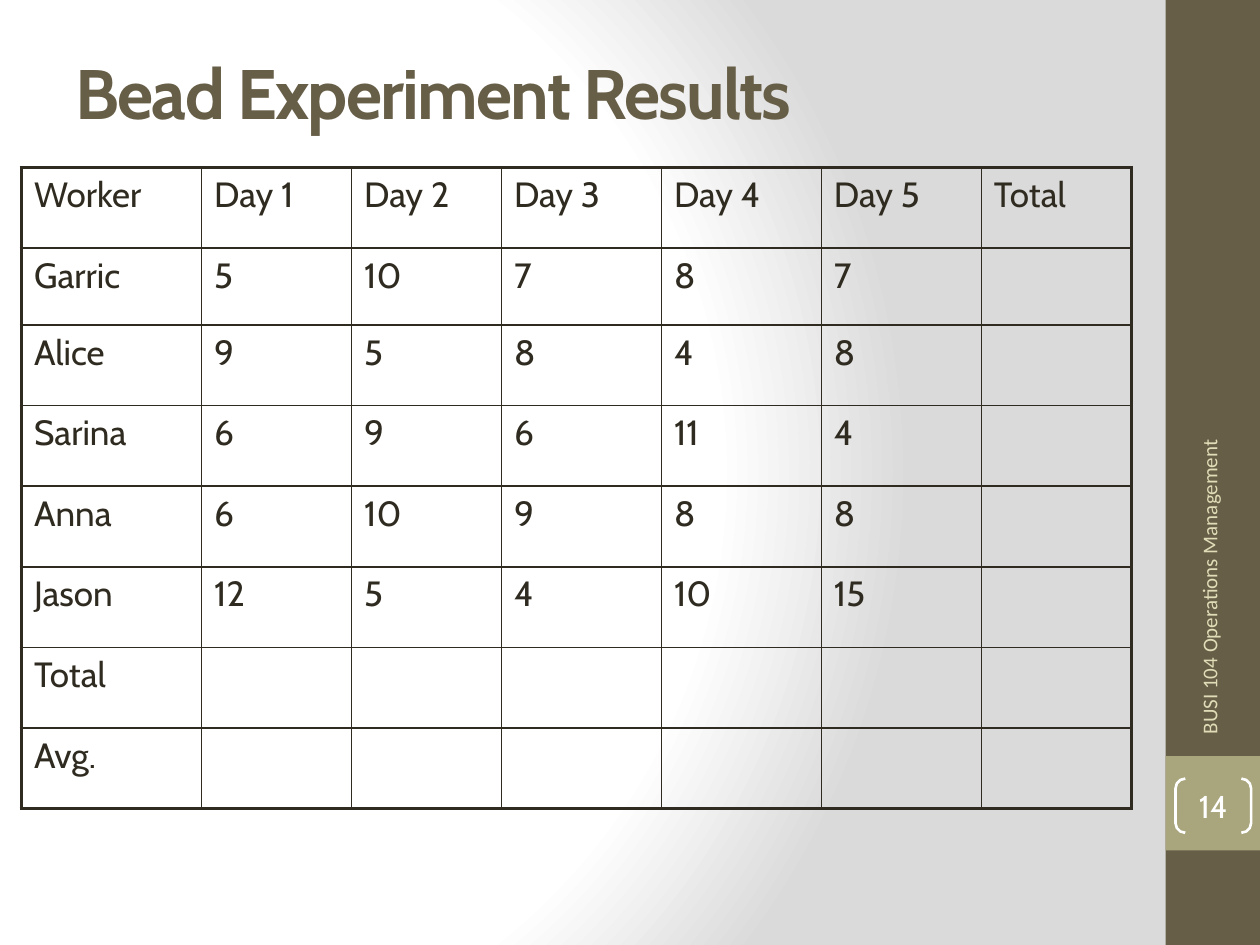
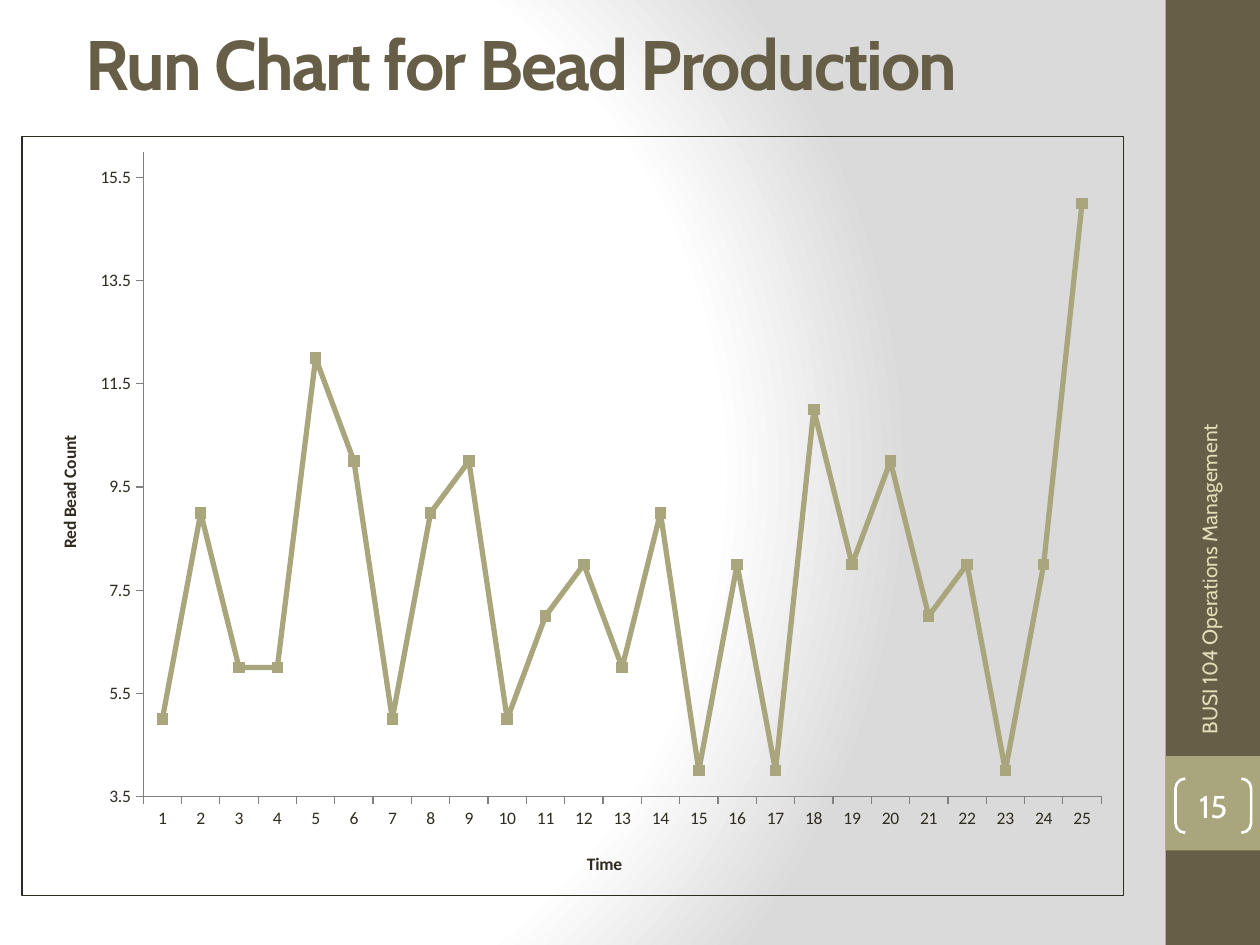
from lxml import etree
from pptx import Presentation
from pptx import util as u
from pptx.chart.data import CategoryChartData
from pptx.dml.color import RGBColor
from pptx.enum import chart as ch, shapes, text
from pptx.oxml import parse_xml
from pptx.oxml.ns import nsdecls, qn

INK, OLIVE, SAGE, CREAM, WHITE = "2F2B20", "675E47", "A9A57C", "DFDCB7", "FFFFFF"
AXIS_GREY = "808080"
HEAD_FONT, PLAIN_FONT = "Cabin", "Calibri"
COURSE = "BUSI 104 Operations Management"

BEADS = {
    "Garric": [5, 10, 7, 8, 7],
    "Alice": [9, 5, 8, 4, 8],
    "Sarina": [6, 9, 6, 11, 4],
    "Anna": [6, 10, 9, 8, 8],
    "Jason": [12, 5, 4, 10, 15],
}
COLUMN_WIDTHS = [1.43, 1.19, 1.19, 1.27, 1.27, 1.27, 1.19]
ROW_HEIGHTS = [0.64, 0.61] + [0.64] * 6


def rgb(colour):
    return RGBColor.from_string(colour)


def inches(*lengths):
    return [u.Inches(length) for length in lengths]


def write(frame, words, size=20, font=HEAD_FONT, colour=INK, bold=False,
          align=text.PP_ALIGN.LEFT, anchor=text.MSO_ANCHOR.MIDDLE, spacing=None):
    """Put one formatted paragraph in a text frame."""
    frame.word_wrap = True
    frame.vertical_anchor = anchor
    paragraph = frame.paragraphs[0]
    paragraph.alignment = align
    run = paragraph.add_run()
    run.text = words
    run.font.size, run.font.name, run.font.bold = u.Pt(size), font, bold
    run.font.color.rgb = rgb(colour)
    if spacing is not None:
        run.font._element.set("spc", str(spacing * 100))


def paint_background(slide):
    slide.background.fill.solid()
    stops = "".join(f'<a:gs pos="{pos}000"><a:srgbClr val="{colour}"/></a:gs>'
                    for pos, colour in [(0, WHITE), (75, WHITE), (100, "DADADA")])
    glow = parse_xml(
        f'<a:gradFill {nsdecls("a")} rotWithShape="1"><a:gsLst>{stops}</a:gsLst>'
        '<a:path path="circle"><a:fillToRect l="20000" t="50000" r="100000" b="50000"/>'
        '</a:path></a:gradFill>')
    properties = slide.element.find(".//" + qn("p:bgPr"))
    properties.replace(properties[0], glow)


def add_band(slide, top, height, colour):
    band = slide.shapes.add_shape(shapes.MSO_SHAPE.RECTANGLE,
                                  *inches(9.25, top, 0.75, height))
    band.shadow.inherit = False
    band.fill.solid()
    band.fill.fore_color.rgb = rgb(colour)
    band.line.fill.background()


def add_footer(slide, number, font):
    course = slide.shapes.add_textbox(*inches(7.76, 3.89, 3.67, 0.4))
    course.rotation = 270
    write(course.text_frame, COURSE, size=12, font=font, colour=CREAM)

    bracket = slide.shapes.add_shape(shapes.MSO_SHAPE.DOUBLE_BRACKET,
                                     *inches(9.33, 6.18, 0.6, 0.43))
    bracket.adjustments[0] = 0.18
    bracket.shadow.inherit = False
    bracket.fill.background()
    bracket.line.color.rgb = rgb(WHITE)
    bracket.line.width = u.Pt(1.5)
    frame = bracket.text_frame
    frame.margin_left = frame.margin_right = frame.margin_top = frame.margin_bottom = 0
    write(frame, str(number), size=18, colour=WHITE, align=text.PP_ALIGN.CENTER)


def add_slide(deck, heading, heading_box, number, footer_font):
    """Add a slide with the shared background, bands, title and footer."""
    slide = deck.slides.add_slide(deck.slide_layouts[5])
    paint_background(slide)
    add_band(slide, 0, 7.5, OLIVE)
    add_band(slide, 6, 0.75, SAGE)
    title = slide.shapes.title
    title.left, title.top, title.width, title.height = inches(*heading_box)
    title.text_frame.auto_size = text.MSO_AUTO_SIZE.NONE
    write(title.text_frame, heading, size=40, colour=OLIVE, bold=True, spacing=-1)
    add_footer(slide, number, footer_font)
    return slide


def set_borders(cell, **widths):
    """Draw cell borders; widths are points for L, R, T and B."""
    for side, width in widths.items():
        cell._tc.get_or_add_tcPr().append(parse_xml(
            f'<a:ln{side} {nsdecls("a")} w="{u.Pt(width)}"><a:solidFill>'
            f'<a:srgbClr val="{INK}"/></a:solidFill></a:ln{side}>'))


def add_results_table(slide):
    days = [f"Day {day}" for day in range(1, 6)]
    rows = [["Worker", *days, "Total"]]
    rows += [[worker, *counts, ""] for worker, counts in BEADS.items()]
    rows += [[label] + [""] * 6 for label in ("Total", "Avg.")]
    table = slide.shapes.add_table(len(rows), len(rows[0]),
                                   *inches(0.17, 1.33, 8.83, 5.06)).table
    table.first_row = table.horz_banding = False
    for column, width in zip(table.columns, COLUMN_WIDTHS):
        column.width = u.Inches(width)
    for row, height in zip(table.rows, ROW_HEIGHTS):
        row.height = u.Inches(height)

    last_row, last_column = len(rows) - 1, len(rows[0]) - 1
    for r, row in enumerate(rows):
        for c, value in enumerate(row):
            cell = table.cell(r, c)
            set_borders(cell,
                        L=2.25 if c == 0 else 1,
                        R=2.25 if c == last_column else 1,
                        T=2.25 if r == 0 else 1,
                        B=2.25 if r == last_row else 1)
            cell.fill.background()
            if value != "":
                write(cell.text_frame, str(value), anchor=text.MSO_ANCHOR.TOP)
                cell.vertical_anchor = text.MSO_ANCHOR.TOP


def place(part, x, y, w=None, h=None):
    """Give a chart part a manual place, as fractions of the chart."""
    sizes = {"xMode": "edge", "yMode": "edge", "x": x, "y": y}
    if w:
        sizes = {"layoutTarget": "inner", **sizes, "w": w, "h": h}
    layout = part.find(qn("c:layout"))
    if layout is None:
        layout = etree.Element(qn("c:layout"))
        part.insert(0, layout)
    manual = etree.SubElement(layout, qn("c:manualLayout"))
    for name, value in sizes.items():
        etree.SubElement(manual, qn(f"c:{name}")).set("val", str(value))


def format_axis(axis, label, x, y):
    axis.has_major_gridlines = False
    axis.major_tick_mark = ch.XL_TICK_MARK.OUTSIDE
    axis.minor_tick_mark = ch.XL_TICK_MARK.NONE
    axis.format.line.color.rgb = rgb(AXIS_GREY)
    axis.format.line.width = u.Pt(0.75)
    title = axis.axis_title
    title.text_frame.text = label
    font = title.text_frame.paragraphs[0].runs[0].font
    font.size, font.bold, font.name = u.Pt(10), True, PLAIN_FONT
    font.color.rgb = rgb(INK)
    place(title._element, x, y)


def add_run_chart(slide):
    # The run follows each day in turn, worker by worker
    counts = [count for day in zip(*BEADS.values()) for count in day]
    data = CategoryChartData()
    data.categories = [str(n) for n in range(1, len(counts) + 1)]
    data.add_series("Series 1", counts)
    chart = slide.shapes.add_chart(ch.XL_CHART_TYPE.LINE_MARKERS,
                                   *inches(0.17, 1.08, 8.75, 6.03), data).chart
    chart.has_legend = chart.has_title = False
    chart.font.size, chart.font.name = u.Pt(10), PLAIN_FONT
    chart.font.color.rgb = rgb(INK)

    # Axes
    format_axis(chart.category_axis, "Time", 0.51, 0.94)
    format_axis(chart.value_axis, "Red Bead Count", 0.03, 0.39)
    chart.value_axis.minimum_scale = 3.5
    chart.value_axis.maximum_scale = 16
    chart.value_axis.major_unit = 2
    chart.value_axis.tick_labels.number_format = "General"
    chart.value_axis.tick_labels.number_format_is_linked = False

    # Bead line and markers
    chart.plots[0].vary_by_categories = False
    beads = chart.plots[0].series[0]
    beads.smooth = False
    beads.format.line.color.rgb = rgb(SAGE)
    beads.format.line.width = u.Pt(3)
    beads.marker.style = ch.XL_MARKER_STYLE.SQUARE
    beads.marker.size = 6
    beads.marker.format.fill.solid()
    beads.marker.format.fill.fore_color.rgb = rgb(SAGE)
    beads.marker.format.line.color.rgb = rgb(SAGE)

    # Plot place and outer border
    body = chart._chartSpace.find(qn("c:chart"))
    place(body.find(qn("c:plotArea")), 0.11, 0.02, 0.87, 0.85)
    body.addnext(parse_xml(
        f'<c:spPr {nsdecls("c", "a")}><a:noFill/><a:ln w="{u.Pt(0.75)}"><a:solidFill>'
        f'<a:srgbClr val="{INK}"/></a:solidFill></a:ln></c:spPr>'))


def main():
    deck = Presentation()
    deck.slide_width, deck.slide_height = inches(10, 7.5)

    results = add_slide(deck, "Bead Experiment Results", (0.5, 0.25, 9, 0.95),
                        14, PLAIN_FONT)
    add_results_table(results)

    run = add_slide(deck, "Run Chart for Bead Production", (0.58, 0.25, 8.33, 0.5),
                    15, HEAD_FONT)
    add_run_chart(run)

    deck.save("out.pptx")


if __name__ == "__main__":
    main()
